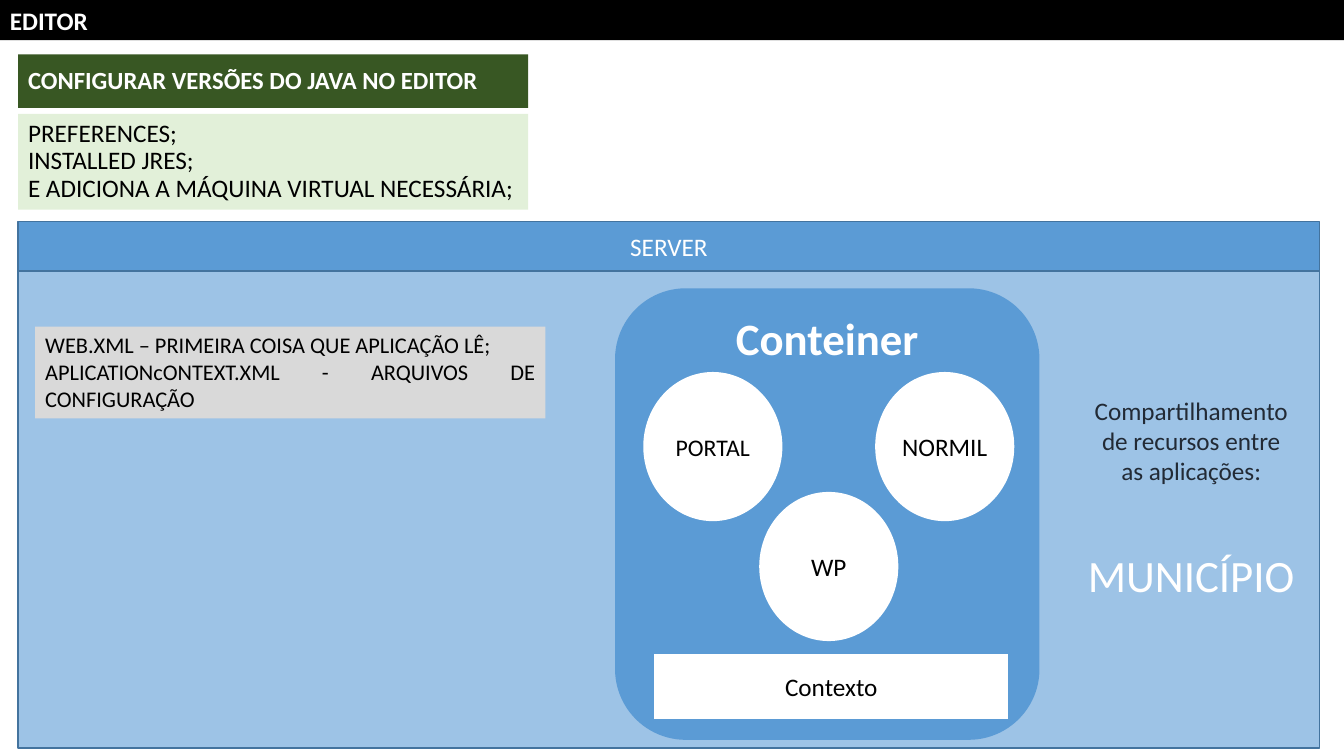
from pptx import Presentation
from pptx.dml.color import RGBColor
from pptx.enum.shapes import MSO_SHAPE as Kind
from pptx.enum.text import MSO_ANCHOR as Anchor, PP_ALIGN as Align
from pptx.util import Inches, Pt

WHITE, BLACK, BLUE, EDGE = "FFFFFF", "000000", "5B9BD5", "43739E"

deck = Presentation()
deck.slide_width, deck.slide_height = Inches(13.33), Inches(7.5)
slide = deck.slides.add_slide(deck.slide_layouts[6])


def paint(part, tone):
    if hasattr(part, "solid"):
        part.solid()
        part.fore_color.rgb = RGBColor.from_string(tone)
    else:
        part.rgb = RGBColor.from_string(tone)


def block(kind, box, fill, text="", size=18, tone=BLACK, bold=False,
          align=Align.CENTER, anchor=Anchor.MIDDLE, space=1.0, edge=None):
    shape = slide.shapes.add_shape(kind, *map(Inches, box))
    shape.shadow.inherit = False
    paint(shape.fill, fill)
    if edge:
        paint(shape.line.color, edge)
        shape.line.width = Pt(1)
    else:
        shape.line.fill.background()
    frame = shape.text_frame
    frame.word_wrap = True
    frame.vertical_anchor = anchor
    frame.text = text
    for para in frame.paragraphs:
        para.alignment = align
        para.line_spacing = space
        para.font.name = "Calibri"
        para.font.size = Pt(size)
        para.font.bold = bold
        paint(para.font.color, tone)
    return shape


left, wide, half = 0.18, 12.91, 5.06

block(Kind.FLOWCHART_PROCESS, (left, 2.24, wide, 5.18), "9DC3E6", edge=EDGE)
block(Kind.RECTANGLE, (left, 1.13, half, 0.95), "E2F0D9",
      "PREFERENCES;\nINSTALLED JRES;\nE ADICIONA A MÁQUINA VIRTUAL NECESSÁRIA;",
      align=Align.LEFT, space=0.9)
block(Kind.RECTANGLE, (0, 0, 13.33, 0.4), BLACK, "EDITOR",
      tone=WHITE, bold=True, align=Align.LEFT, anchor=Anchor.TOP)
block(Kind.RECTANGLE, (left, 0.54, half, 0.53), "385723",
      "CONFIGURAR VERSÕES DO JAVA NO EDITOR", 17.6, WHITE, True,
      Align.LEFT, space=0.9)
pod = block(Kind.FLOWCHART_ALTERNATE_PROCESS, (6.1, 2.86, 4.21, 4.48), BLUE,
            "Conteiner", 32, WHITE, True, anchor=Anchor.TOP)
pod.text_frame.margin_top = Inches(0.02)

apps = [("PORTAL", 17, 3.69), ("WP", 18, 4.88), ("NORMIL", 18, 3.69)]
for i, (name, size, top) in enumerate(apps):
    disc = block(Kind.OVAL, (6.38 + 1.15 * i, top, 1.38, 1.48), WHITE, name, size)
    disc.text_frame.word_wrap = False

block(Kind.FLOWCHART_PROCESS, (6.49, 6.49, 3.51, 0.64), WHITE, "Contexto")

note = slide.shapes.add_textbox(*map(Inches, (10.68, 3.87, 2.27, 2.15)))
frame = note.text_frame
frame.word_wrap = False
frame.text = "Compartilhamento\nde recursos entre\nas aplicações:\nMUNICÍPIO"
for para in frame.paragraphs:
    para.alignment = Align.CENTER
    para.font.name = "Calibri"
    para.font.size = Pt(18)
    paint(para.font.color, "222A35")
town = frame.paragraphs[-1]
town.space_before = Pt(44)
town.font.size = Pt(32)
paint(town.font.color, WHITE)

block(Kind.FLOWCHART_PROCESS, (left, 2.2, wide, 0.49), BLUE, "SERVER",
      tone=WHITE, edge=EDGE)
block(Kind.RECTANGLE, (0.35, 3.24, half, 0.91), "D9D9D9",
      "WEB.XML – PRIMEIRA COISA QUE APLICAÇÃO LÊ;\n"
      "APLICATIONcONTEXT.XML - ARQUIVOS DE CONFIGURAÇÃO",
      16, align=Align.JUSTIFY, anchor=Anchor.TOP)

deck.save("out.pptx")
